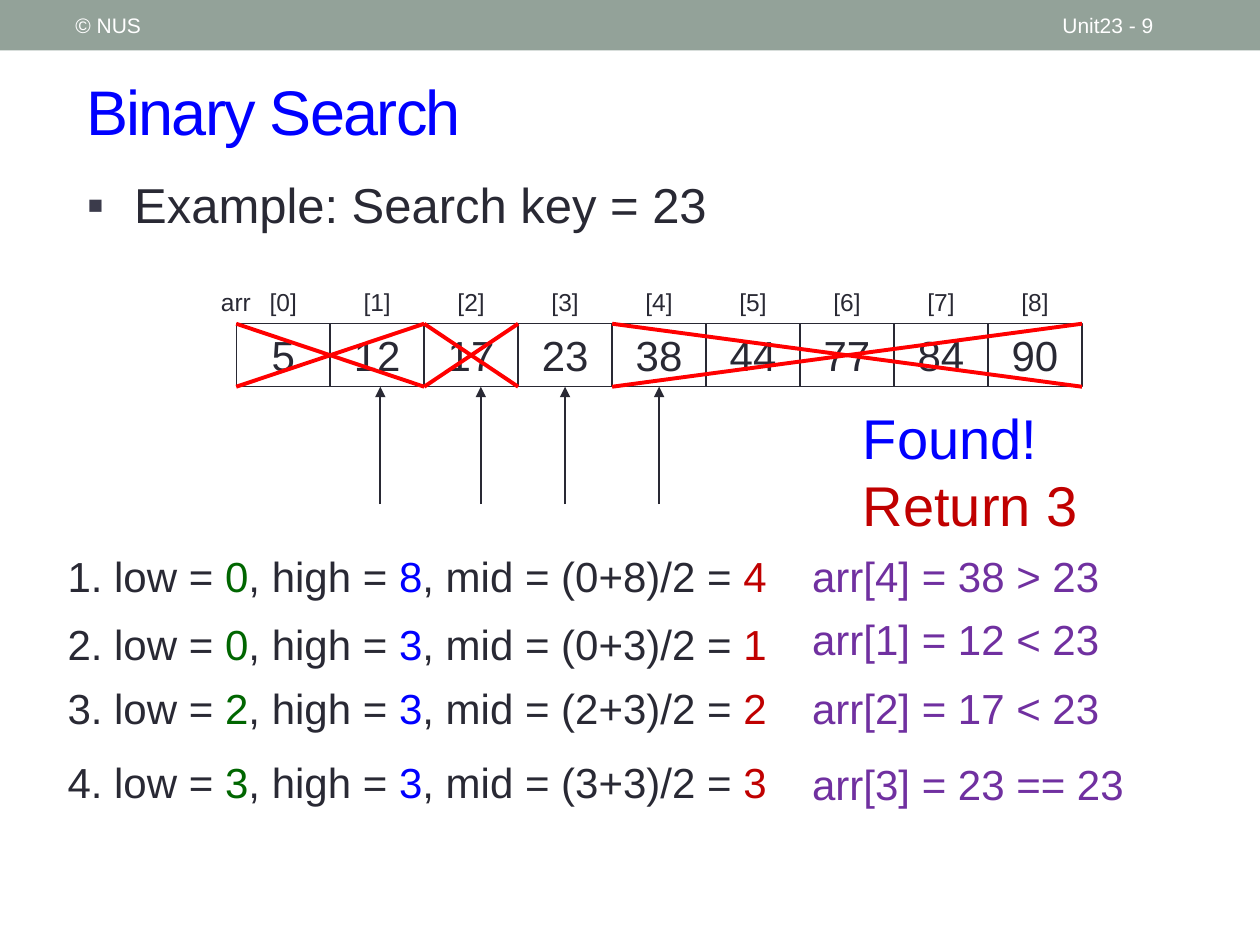
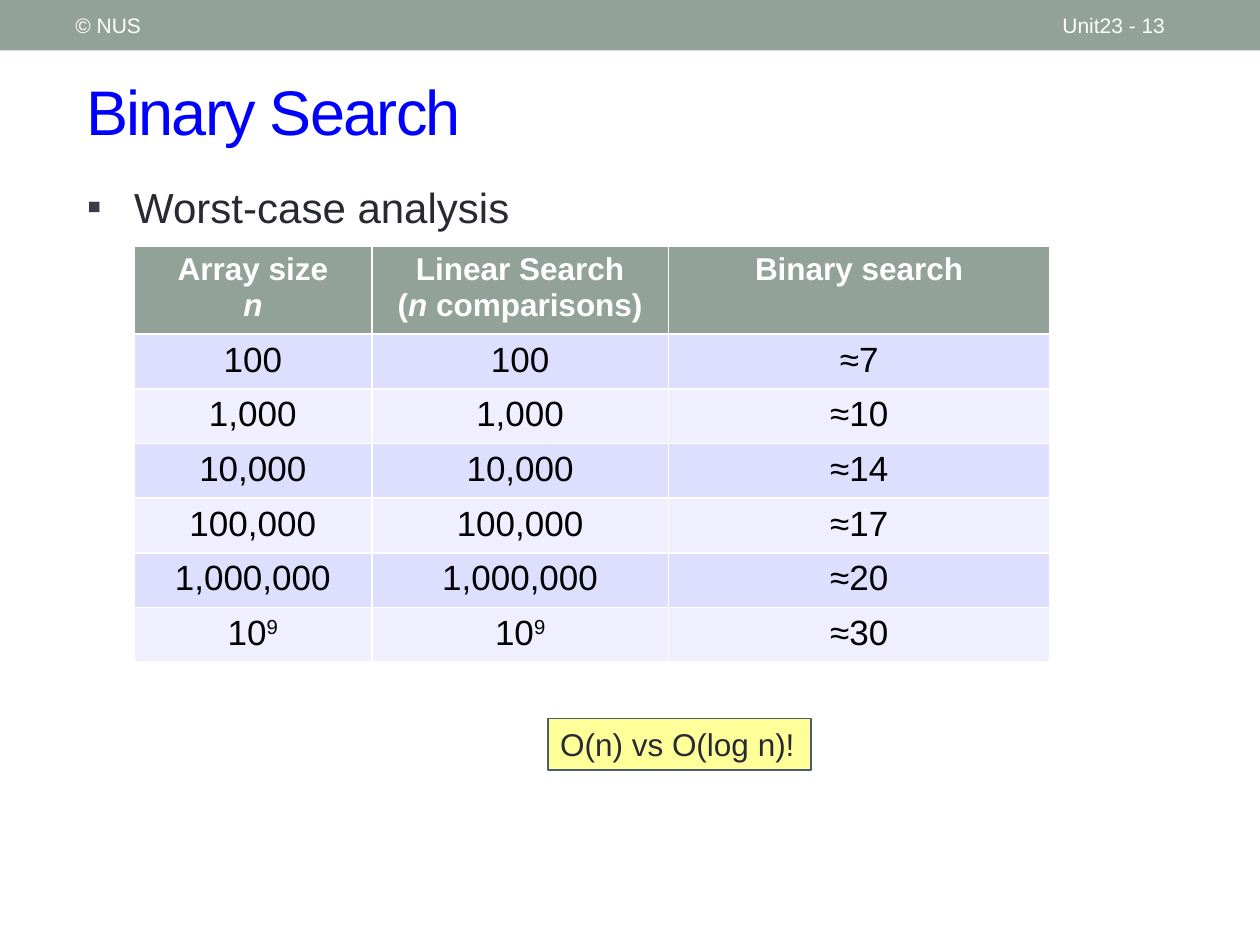
from dataclasses import dataclass

from lxml import etree
from pptx import Presentation
from pptx.dml.color import RGBColor
from pptx.enum.shapes import MSO_CONNECTOR, MSO_SHAPE
from pptx.enum.text import MSO_ANCHOR, MSO_AUTO_SIZE, PP_ALIGN
from pptx.oxml.ns import qn
from pptx.util import Pt

LEFT, CENTER = PP_ALIGN.LEFT, PP_ALIGN.CENTER
TOP, MIDDLE = MSO_ANCHOR.TOP, MSO_ANCHOR.MIDDLE
NO_AUTOSIZE = MSO_AUTO_SIZE.NONE
RECTANGLE = MSO_SHAPE.RECTANGLE
STRAIGHT = MSO_CONNECTOR.STRAIGHT
BOTTOM_SITE = 2

# Content
TITLE = "Binary Search"
COPYRIGHT = "© NUS"
UNIT = "Unit23"

EXAMPLE = "Example: Search key = 23"
ARRAY_NAME = "arr"
KEY = 23
ARRAY = [5, 12, 17, 23, 38, 44, 77, 84, 90]
STEPS = [  # low, high, top of the step, top of its check
    (0, 8, 311, 311),
    (0, 3, 350, 347),
    (2, 3, 386.5, 386.5),
    (3, 3, 428.5, 430),
]
ELIMINATED = [(4, 9), (0, 2), (2, 3)]  # first cell, cell after the last
ARROW_SHIFTS = {1: 1.8, 2: 5.5}  # arrows that stand off the middle of a cell

ANALYSIS = "Worst-case analysis"
# A * pair marks italics; ^ starts a superscript
COMPARISON_HEADER = ["Array size\n*n*", "Linear Search\n(*n* comparisons)", "Binary search"]
COMPARISONS = [
    ("100", "≈7"),
    ("1,000", "≈10"),
    ("10,000", "≈14"),
    ("100,000", "≈17"),
    ("1,000,000", "≈20"),
    ("10^9", "≈30"),
]
CONCLUSION = "O(n) vs O(log n)!"


@dataclass(frozen=True)
class Theme:
    font: str = "Arial"
    band: str = "93A299"
    white: str = "FFFFFF"
    black: str = "000000"
    ink: str = "292934"
    bullet: str = "3B3B4B"
    blue: str = "0000FF"
    green: str = "006600"
    dark_red: str = "C00000"
    cross: str = "FF0000"
    purple: str = "7030A0"
    note: str = "FFFF99"
    note_line: str = "4C5A6A"
    rows: tuple = ("DEDEFF", "EFEFFF")
    title_size: int = 36
    result_size: int = 32
    example_size: int = 28
    text_size: int = 24
    cell_size: int = 20
    label_size: int = 18
    index_size: int = 14
    footer_size: int = 12


THEME = Theme()

# Array geometry
ARRAY_LEFT, ARRAY_TOP = 135, 185
CELL_WIDTH, CELL_HEIGHT = 53.7, 36
ARRAY_BOTTOM = ARRAY_TOP + CELL_HEIGHT
INDEX_TOP, INDEX_HEIGHT = 160.5, 24.5
ARROW_START = 288


def rgb(code):
    return RGBColor.from_string(code)


def style(paragraph, size, color=None, align=LEFT, bold=False):
    paragraph.alignment = align
    font = paragraph.font
    font.name, font.size, font.bold = THEME.font, Pt(size), bold
    if color:
        font.color.rgb = rgb(color)


def place(shape, left, top, width, height):
    shape.left, shape.top, shape.width, shape.height = map(Pt, (left, top, width, height))


def add_label(slide, box, lines, size, align=LEFT, anchor=TOP):
    """Add a text box; each line is a list of (text, colour) pieces."""
    frame = slide.shapes.add_textbox(*map(Pt, box)).text_frame
    frame.word_wrap = True
    frame.vertical_anchor = anchor
    for number, pieces in enumerate(lines):
        paragraph = frame.add_paragraph() if number else frame.paragraphs[0]
        shared_color = pieces[0][1] if len(pieces) == 1 else None
        style(paragraph, size, shared_color, align)
        for text, color in pieces:
            run = paragraph.add_run()
            run.text = text
            if not shared_color:
                run.font.color.rgb = rgb(color)


def add_box(slide, box, fill=None, line=None, line_width=1, text="", size=12, align=LEFT):
    shape = slide.shapes.add_shape(RECTANGLE, *map(Pt, box))
    shape.shadow.inherit = False
    if fill:
        shape.fill.solid()
        shape.fill.fore_color.rgb = rgb(fill)
    else:
        shape.fill.background()
    if line:
        shape.line.color.rgb = rgb(line)
        shape.line.width = Pt(line_width)
    else:
        shape.line.fill.background()
    if text:
        frame = shape.text_frame
        frame.vertical_anchor = TOP
        frame.text = text
        style(frame.paragraphs[0], size, THEME.ink, align)
    return shape


def add_line(slide, start, end, color, width, arrow=False):
    connector = slide.shapes.add_connector(STRAIGHT, *map(Pt, (*start, *end)))
    connector.line.color.rgb = rgb(color)
    connector.line.width = Pt(width)
    if arrow:
        etree.SubElement(connector.line._get_or_add_ln(), qn("a:tailEnd"), type="triangle")
    etree.SubElement(connector._element.spPr, qn("a:effectLst"))
    return connector


def add_page(deck, page, bullet, bullet_size, line_spacing):
    """Add a slide with the band, the footers, the title and one bullet."""
    slide = deck.slides.add_slide(deck.slide_layouts[1])
    add_box(slide, (0, 0, 720, 28.8), fill=THEME.band)
    for text, left, width in ((f"{UNIT} - {page}", 600, 84), (COPYRIGHT, 36, 228)):
        add_label(slide, (left, 1.5, width, 26), [[(text, THEME.white)]],
                  THEME.footer_size, anchor=MIDDLE)

    title = slide.shapes.title
    place(title, 42, 30, 660, 66)
    title.text_frame.text = TITLE
    title.text_frame.vertical_anchor = MIDDLE
    heading = title.text_frame.paragraphs[0]
    style(heading, THEME.title_size, THEME.blue)
    heading.font._element.set("spc", "-100")

    body = slide.placeholders[1]
    place(body, 42.5, 100, 640, 46)
    body.text_frame.text = bullet
    body.text_frame.auto_size = NO_AUTOSIZE
    item = body.text_frame.paragraphs[0]
    item.space_before = Pt(0)
    item.line_spacing = line_spacing
    properties = item._p.get_or_add_pPr()
    properties.set("marL", str(Pt(27)))
    properties.set("indent", str(-Pt(27)))
    bullet_color = etree.SubElement(properties, qn("a:buClr"))
    etree.SubElement(bullet_color, qn("a:srgbClr"), val=THEME.bullet)
    etree.SubElement(properties, qn("a:buChar"), char="▪")
    style(item, bullet_size, THEME.ink)
    return slide


def cell_left(index):
    return ARRAY_LEFT + index * CELL_WIDTH


def add_array(slide):
    cells = []
    for index, value in enumerate(ARRAY):
        left = cell_left(index)
        cells.append(add_box(slide, (left, ARRAY_TOP, CELL_WIDTH, CELL_HEIGHT), line=THEME.ink,
                             line_width=0.75, text=str(value), size=THEME.text_size,
                             align=CENTER))
    labels = [(f"[{index}]", cell_left(index)) for index in range(len(ARRAY))]
    for text, left in labels + [(ARRAY_NAME, 108)]:
        add_label(slide, (left, INDEX_TOP, CELL_WIDTH, INDEX_HEIGHT), [[(text, THEME.ink)]],
                  THEME.index_size, CENTER)
    return cells


def add_step(slide, number, step, cells):
    """Write one round of the search and point at the cell it probes."""
    low, high, step_top, check_top = step
    mid = (low + high) // 2
    value = ARRAY[mid]
    sign = "==" if value == KEY else "<" if value < KEY else ">"
    pieces = [
        (f"{number}. low = ", THEME.ink), (str(low), THEME.green),
        (", high = ", THEME.ink), (str(high), THEME.blue),
        (f", mid = ({low}+{high})/2 = ", THEME.ink), (str(mid), THEME.dark_red),
    ]
    add_label(slide, (31.5, step_top, 425, 36), [pieces], THEME.text_size)
    check = f"{ARRAY_NAME}[{mid}] = {value} {sign} {KEY}"
    add_label(slide, (457, check_top, 201, 36), [[(check, THEME.purple)]], THEME.text_size)

    shift = ARROW_SHIFTS.get(mid, 0)
    x = cell_left(mid + 0.5) + shift
    arrow = add_line(slide, (x, ARROW_START), (x, ARRAY_BOTTOM), THEME.ink, 1.25, arrow=True)
    if not shift:
        arrow.end_connect(cells[mid], BOTTOM_SITE)


def add_search_slide(deck):
    slide = add_page(deck, 9, EXAMPLE, THEME.example_size, 0.9)
    cells = add_array(slide)
    for number, step in enumerate(STEPS, 1):
        add_step(slide, number, step, cells)
    for first, after in ELIMINATED:
        left, right = cell_left(first), cell_left(after)
        for start, end in ((ARRAY_TOP, ARRAY_BOTTOM), (ARRAY_BOTTOM, ARRAY_TOP)):
            add_line(slide, (left, start), (right, end), THEME.cross, 2.25)
    found = ARRAY.index(KEY)
    add_label(slide, (486, 227, 157, 85),
              [[("Found!", THEME.blue)], [(f"Return {found}", THEME.dark_red)]],
              THEME.result_size)


def fill_cell(cell, text, fill, size, color, bold=False):
    cell.fill.solid()
    cell.fill.fore_color.rgb = rgb(fill)
    frame = cell.text_frame
    for number, line in enumerate(text.split("\n")):
        paragraph = frame.add_paragraph() if number else frame.paragraphs[0]
        style(paragraph, size, color, CENTER, bold)
        for order, piece in enumerate(line.split("*")):
            base, _, power = piece.partition("^")
            if base:
                run = paragraph.add_run()
                run.text = base
                if order % 2:
                    run.font.italic = True
            if power:
                run = paragraph.add_run()
                run.text = power
                run.font._element.set("baseline", "30000")


def add_analysis_slide(deck):
    slide = add_page(deck, 13, ANALYSIS, THEME.text_size, 1.0)
    widths = (136, 169.5, 218)
    heights = [47] + [29.5] * len(COMPARISONS)
    table = slide.shapes.add_table(len(heights), len(widths), Pt(76.5), Pt(140.5),
                                   Pt(sum(widths)), Pt(sum(heights))).table
    for column, width in zip(table.columns, widths):
        column.width = Pt(width)
    for row, height in zip(table.rows, heights):
        row.height = Pt(height)
    for column, text in enumerate(COMPARISON_HEADER):
        fill_cell(table.cell(0, column), text, THEME.band, THEME.label_size, THEME.white, True)
    for row, (size, binary) in enumerate(COMPARISONS, 1):
        for column, text in enumerate((size, size, binary)):
            fill_cell(table.cell(row, column), text, THEME.rows[(row - 1) % 2],
                      THEME.cell_size, THEME.black)
    note = add_box(slide, (313, 410.5, 150.5, 29.5), THEME.note, THEME.note_line,
                   text=CONCLUSION, size=THEME.label_size)
    note.text_frame.word_wrap = False


def main():
    deck = Presentation()
    deck.slide_width, deck.slide_height = Pt(720), Pt(540)
    add_search_slide(deck)
    add_analysis_slide(deck)
    deck.save("out.pptx")


if __name__ == "__main__":
    main()
